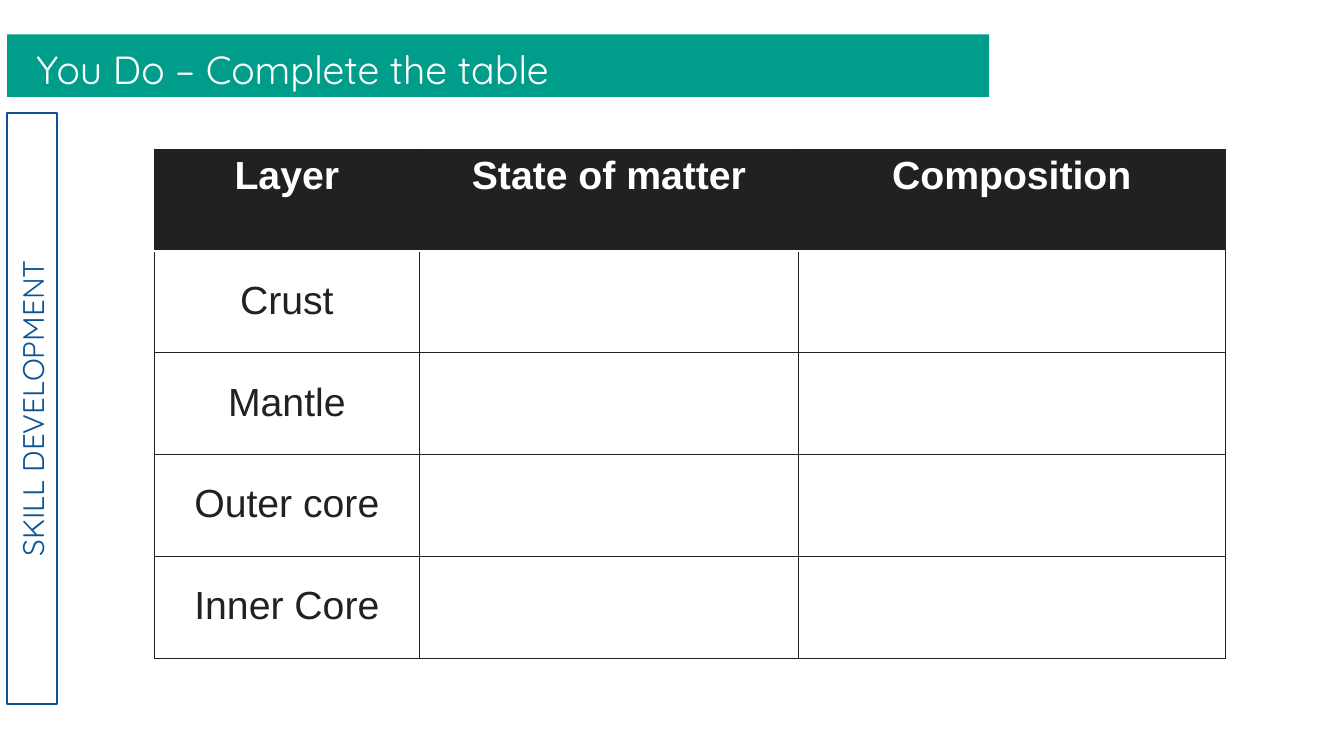
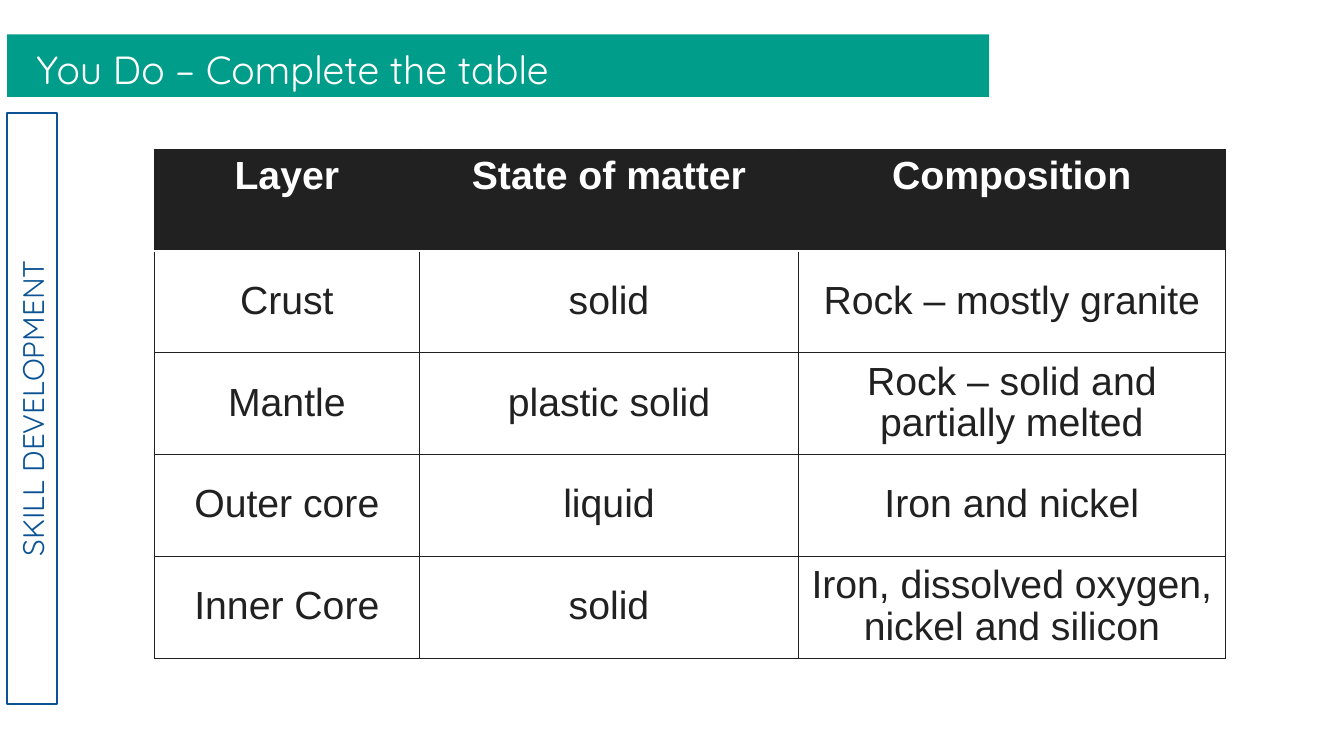
from lxml.etree import SubElement
from pptx import Presentation
from pptx.dml.color import RGBColor
from pptx.enum.shapes import MSO_SHAPE
from pptx.enum.text import MSO_ANCHOR, PP_ALIGN
from pptx.oxml.ns import qn
from pptx.util import Inches, Pt

# Shared palette and fonts
TEAL, BLUE, INK, GRID, WHITE = "019D8B", "0B5394", "212121", "202020", "FFFFFF"
TITLE_FONT, TABLE_FONT = "Quicksand", "Arial"

# Table content
HEADERS = ["Layer", "State of matter", "Composition"]
ANSWERS = [
    ["Crust", "solid", "Rock – mostly granite"],
    ["Mantle", "plastic solid", "Rock – solid and partially melted"],
    ["Outer core", "liquid", "Iron and nickel"],
    ["Inner Core", "solid", "Iron, dissolved oxygen, nickel and silicon"],
]
COL_WIDTHS = [2.63, 3.76, 4.23]
ROW_HEIGHT = 1.01


def rgb(value):
    return RGBColor.from_string(value)


def write(tf, text, size=28, font=TABLE_FONT, color=INK, bold=False,
          align=PP_ALIGN.CENTER, spacing=None):
    p = tf.paragraphs[0]
    p.alignment = align
    p.line_spacing = spacing
    r = p.add_run()
    r.text = text
    r.font.size, r.font.name, r.font.bold = Pt(size), font, bold
    r.font.color.rgb = rgb(color)


def set_borders(cell, **sides):
    """Give each side (L, R, T, B) a (colour, width) line."""
    tcPr = cell._tc.get_or_add_tcPr()
    for i, (side, (color, width)) in enumerate(sides.items()):
        ln = SubElement(tcPr, qn(f"a:ln{side}"), w=str(Pt(width)))
        SubElement(SubElement(ln, qn("a:solidFill")), qn("a:srgbClr"), val=color)
        tcPr.insert(i, ln)  # borders come before the fill


class Deck:
    def __init__(self):
        self.prs = Presentation()
        self.prs.slide_width, self.prs.slide_height = Inches(13.33), Inches(7.5)
        self.s = None

    def slide(self, title):
        self.s = self.prs.slides.add_slide(self.prs.slide_layouts[6])
        self.side_label("SKILL DEVELOPMENT")
        self.box(0.07, 0.34, 9.74, 0.62, fill=TEAL)
        self.title(title)

    def box(self, x, y, w, h, fill=None, line=None):
        sp = self.s.shapes.add_shape(
            MSO_SHAPE.RECTANGLE, Inches(x), Inches(y), Inches(w), Inches(h))
        sp.shadow.inherit = False
        if fill:
            sp.fill.solid()
            sp.fill.fore_color.rgb = rgb(fill)
        else:
            sp.fill.background()
        if line:
            sp.line.color.rgb, sp.line.width = rgb(line), Pt(1.5)
        else:
            sp.line.fill.background()
        return sp

    def side_label(self, text):
        sp = self.box(-2.61, 3.8, 5.86, 0.5, line=BLUE)
        sp.rotation = 270
        tf = sp.text_frame
        tf.vertical_anchor = MSO_ANCHOR.MIDDLE
        tf.margin_left = tf.margin_right = Inches(0.13)
        tf.margin_top = tf.margin_bottom = Inches(0.13)
        write(tf, text, size=21.3, font=TITLE_FONT, color=BLUE)

    def title(self, text):
        sp = self.s.shapes.add_textbox(
            Inches(0.14), Inches(0.39), Inches(9.61), Inches(0.51))
        tf = sp.text_frame
        tf.word_wrap = True
        tf.vertical_anchor = MSO_ANCHOR.MIDDLE
        tf.margin_left = Inches(0.22)
        tf.margin_right = tf.margin_top = tf.margin_bottom = Inches(0.1)
        write(tf, text, font=TITLE_FONT, color=WHITE,
              align=PP_ALIGN.LEFT, spacing=1.15)

    def table(self, rows):
        table = self.s.shapes.add_table(
            len(rows), len(COL_WIDTHS), Inches(1.53), Inches(1.48),
            Inches(sum(COL_WIDTHS)), Inches(ROW_HEIGHT * len(rows))).table
        for column, width in zip(table.columns, COL_WIDTHS):
            column.width = Inches(width)
        grid, rule = (GRID, 0.75), (WHITE, 2)
        for i, row in enumerate(rows):
            table.rows[i].height = Inches(ROW_HEIGHT)
            header = i == 0
            for j, text in enumerate(row):
                cell = table.cell(i, j)
                cell.fill.solid()
                cell.fill.fore_color.rgb = rgb(INK if header else WHITE)
                set_borders(cell, L=grid, R=grid, T=rule if i == 1 else grid,
                            B=rule if header else grid)
                cell.vertical_anchor = MSO_ANCHOR.TOP if header else MSO_ANCHOR.MIDDLE
                if text:
                    write(cell.text_frame, text, bold=header,
                          color=WHITE if header else INK,
                          spacing=None if header else 0.95)


def main():
    deck = Deck()
    blanks = [[layer, "", ""] for layer, *_ in ANSWERS]
    # Exercise first, then the completed table
    for body in (blanks, ANSWERS):
        deck.slide("You Do – Complete the table")
        deck.table([HEADERS] + body)
    deck.prs.save("out.pptx")


if __name__ == "__main__":
    main()
